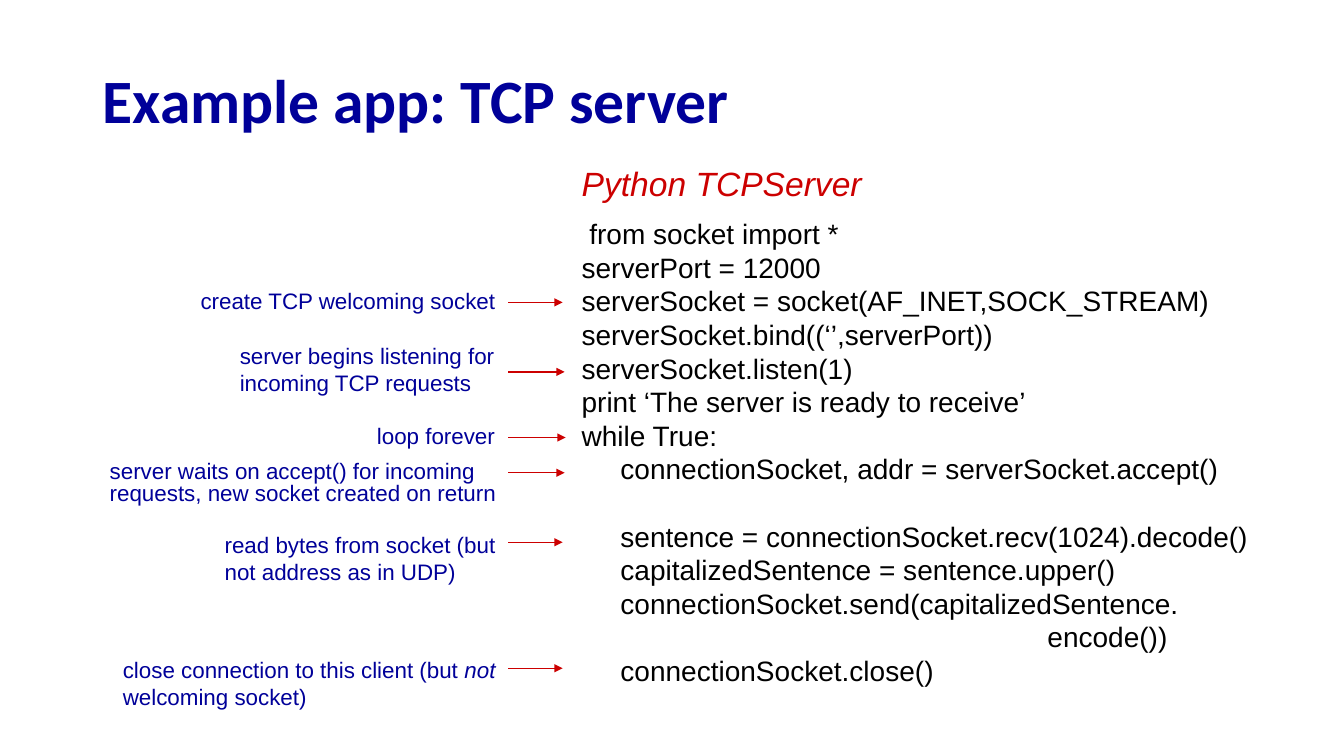
from lxml.etree import SubElement
from pptx import Presentation
from pptx.dml.color import RGBColor
from pptx.enum.shapes import MSO_CONNECTOR
from pptx.enum.text import MSO_ANCHOR
from pptx.oxml.ns import qn
from pptx.util import Inches, Pt

NAVY = RGBColor(0x00, 0x00, 0x99)
RED = RGBColor(0xCC, 0x00, 0x00)
BLACK = RGBColor(0x00, 0x00, 0x00)

# Columns
CODE_LEFT = 5.67
ARROW_LEFT = 5.04
SPACE = 0.077  # width of one space in the code, in inches

deck = Presentation()
deck.slide_width = Inches(13.33)
deck.slide_height = Inches(7.5)
slide = deck.slides.add_slide(deck.slide_layouts[6])


def add_text(left, top, width, height, lines, size, color, font="Arial", leading=None):
    """Add a text box; each line is a list of runs, every second run italic."""
    frame = slide.shapes.add_textbox(
        Inches(left), Inches(top), Inches(width), Inches(height)).text_frame
    frame.word_wrap = True
    for number, parts in enumerate(lines):
        paragraph = frame.add_paragraph() if number else frame.paragraphs[0]
        if leading:
            paragraph.line_spacing = Pt(leading)
        for position, part in enumerate(parts):
            run = paragraph.add_run()
            run.text = part
            run.font.name = font
            run.font.size = Pt(size)
            run.font.color.rgb = color
            run.font.italic = position % 2 == 1
    return frame


# Title and code heading
title = add_text(0.92, 0.49, 11.5, 0.98, [["Example app: TCP server"]], 44, NAVY, "Calibri")
title.vertical_anchor = MSO_ANCHOR.MIDDLE
title.paragraphs[0].runs[0].font.bold = True

heading = add_text(CODE_LEFT, 1.57, 3.09, 0.51, [["Python TCPServer"]], 24, RED)
heading.paragraphs[0].runs[0].font.italic = True

# Code: indent in spaces, blank lines above, text
code_lines = [
    (1, 0, "from socket import *"),
    (0, 0, "serverPort = 12000"),
    (0, 0, "serverSocket = socket(AF_INET,SOCK_STREAM)"),
    (0, 0, "serverSocket.bind((‘’,serverPort))"),
    (0, 0, "serverSocket.listen(1)"),
    (0, 0, "print ‘The server is ready to receive’"),
    (0, 0, "while True:"),
    (5, 0, "connectionSocket, addr = serverSocket.accept()"),
    (5, 1, "sentence = connectionSocket.recv(1024).decode()"),
    (5, 0, "capitalizedSentence = sentence.upper()"),
    (5, 0, "connectionSocket.send(capitalizedSentence."),
    (60, 0, "encode())"),
    (5, 0, "connectionSocket.close()"),
]
CODE_LEADING = 24
code = add_text(CODE_LEFT, 2.1, 6.98, 5.0, [[text] for _, _, text in code_lines],
                20, BLACK, leading=CODE_LEADING)
for paragraph, (indent, blank_above, _) in zip(code.paragraphs, code_lines):
    paragraph.space_before = Pt(CODE_LEADING * blank_above)
    properties = paragraph._p.get_or_add_pPr()
    properties.set("marL", str(Inches(SPACE * indent)))
    properties.set("indent", "0")

# Explanations: left, top, width, height, leading, arrow height, arrow end, runs
explanations = [
    (1.89, 2.80, 3.35, 0.37, 19.2, 3.00, 5.58, ["create TCP welcoming socket"]),
    (2.28, 3.35, 3.14, 0.64, 19.2, 3.69, 5.60,
     ["server begins listening for incoming TCP requests"]),
    (3.64, 4.18, 2.03, 0.33, 16, 4.34, 5.61, ["loop forever"]),
    (0.99, 4.53, 4.67, 0.55, 16, 4.69, 5.60,
     ["server waits on accept() for incoming requests, new socket created on return"]),
    (2.13, 5.22, 3.00, 0.64, 19.2, 5.38, 5.58,
     ["read bytes from socket (but not address as in UDP)"]),
    (1.12, 6.46, 4.27, 0.64, 19.2, 6.63, 5.58,
     ["close connection to this client (but ", "not", " welcoming socket)"]),
]
for left, top, width, height, leading, arrow_y, arrow_end, runs in explanations:
    add_text(left, top, width, height, [runs], 16, NAVY, leading=leading)
    arrow = slide.shapes.add_connector(
        MSO_CONNECTOR.STRAIGHT, Inches(ARROW_LEFT), Inches(arrow_y),
        Inches(arrow_end), Inches(arrow_y))
    arrow.line.color.rgb = RED
    arrow.line.width = Pt(1)
    SubElement(arrow.line._get_or_add_ln(), qn("a:tailEnd"), type="triangle")
    SubElement(arrow._element.spPr, qn("a:effectLst"))

deck.save("out.pptx")
